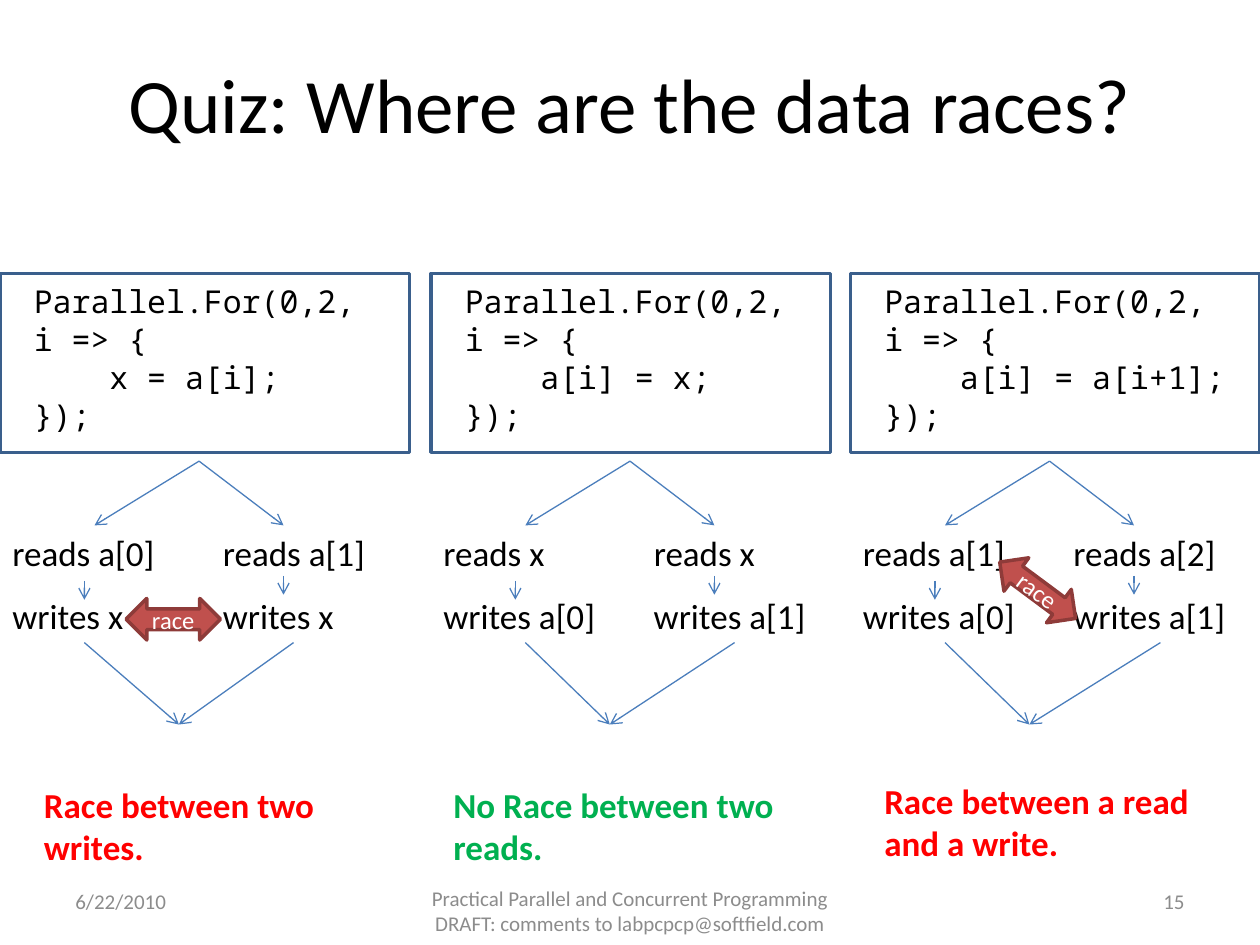
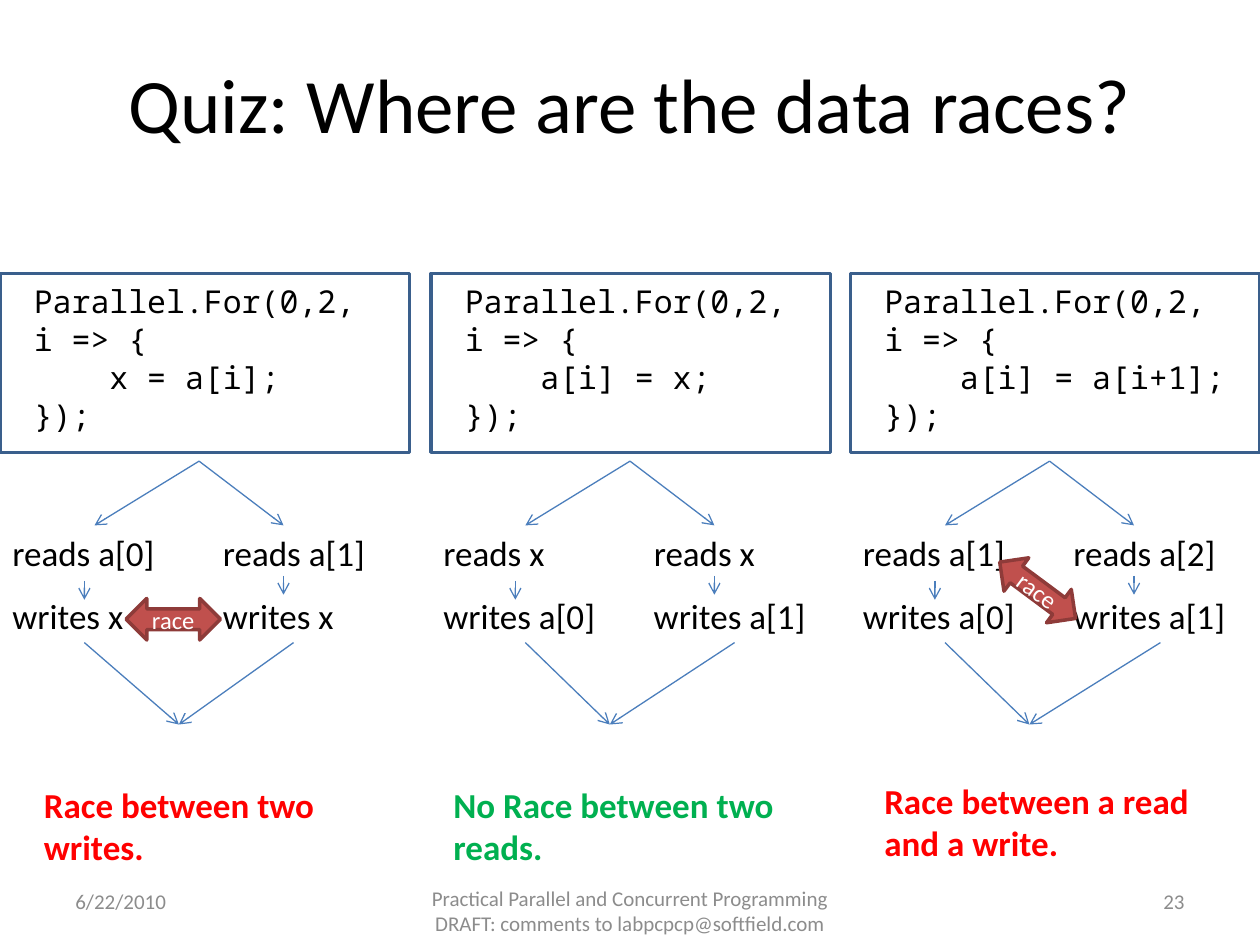
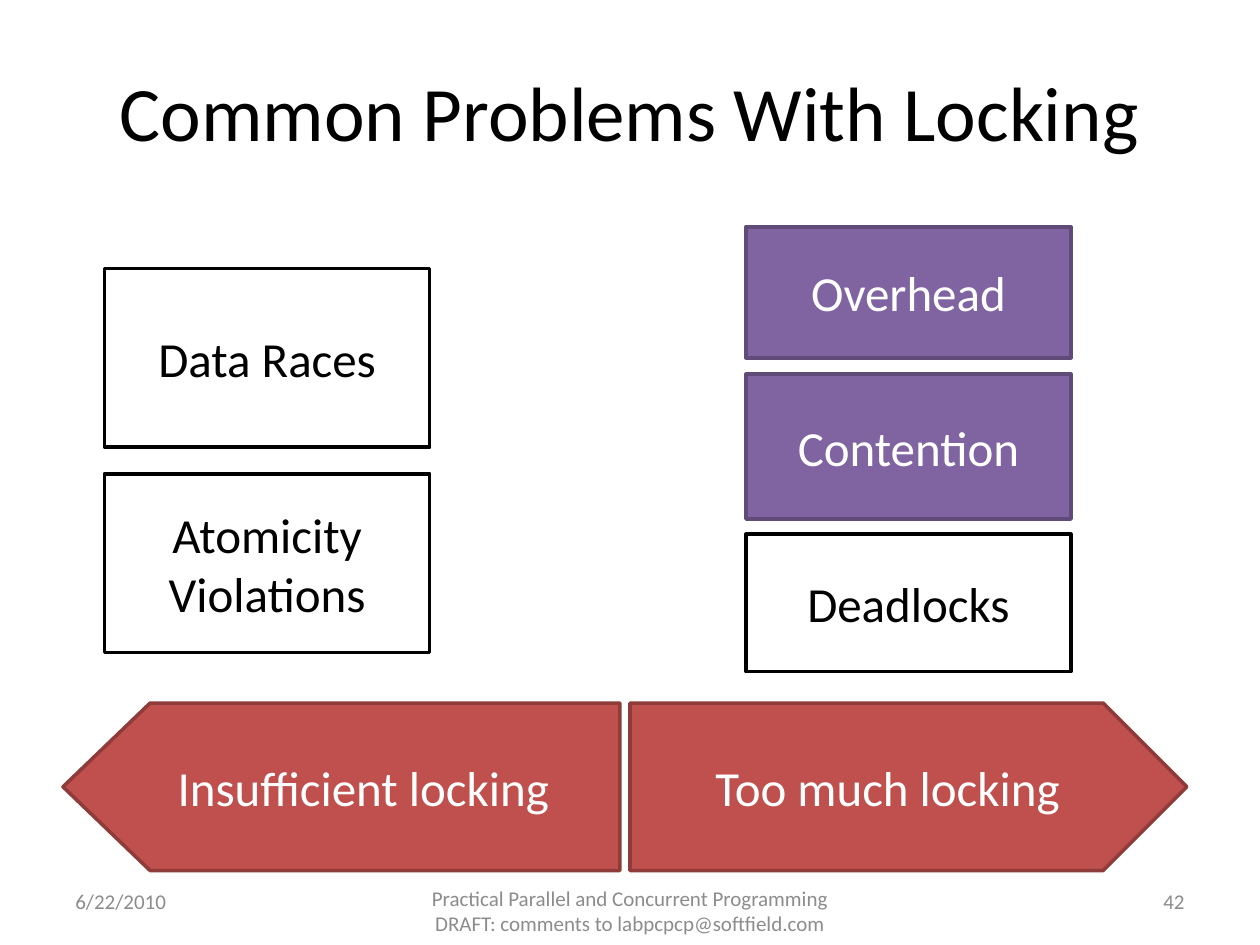
"""Build three slides on data races and locking problems."""
from lxml import etree
from pptx import Presentation
from pptx.dml.color import RGBColor
from pptx.enum import shapes, text
from pptx.oxml import ns
from pptx.util import Inches, Pt

COLORS = {
    "black": "000000", "white": "FFFFFF", "gray": "8C8C8C",
    "red": "FF0000", "green": "00B050", "arrow": "4B7EBC", "frame": "3A5F8C",
    "brick": "C0504D", "brick_edge": "8E3B39",
    "purple": "8064A2", "purple_edge": "5F4A78",
}
FONT, MONO = "Calibri", "Noto Sans Mono"
LEFT, CENTER, RIGHT = text.PP_ALIGN.LEFT, text.PP_ALIGN.CENTER, text.PP_ALIGN.RIGHT
TOP, MIDDLE = text.MSO_ANCHOR.TOP, text.MSO_ANCHOR.MIDDLE
RECT = shapes.MSO_SHAPE.RECTANGLE
DOUBLE_ARROW = shapes.MSO_SHAPE.LEFT_RIGHT_ARROW
PENTAGON = shapes.MSO_SHAPE.PENTAGON


def add_box(s, at, lines=(), size=20, color="black", font=FONT, bold=False,
            align=LEFT, anchor=TOP, kind=None, fill=None, line=None):
    """Add a text box, or a preset shape when kind is given."""
    box = [Inches(v) for v in at]
    if kind is None:
        sp = s.shapes.add_textbox(*box)
    else:
        sp = s.shapes.add_shape(kind, *box)
        sp.shadow.inherit = False
        if fill:
            sp.fill.solid()
            sp.fill.fore_color.rgb = RGBColor.from_string(COLORS[fill])
        else:
            sp.fill.background()
        sp.line.color.rgb = RGBColor.from_string(COLORS[line])
        sp.line.width = Pt(2)
    tf = sp.text_frame
    tf.word_wrap = True
    tf.vertical_anchor = anchor
    for i, words in enumerate(lines):
        p = tf.add_paragraph() if i else tf.paragraphs[0]
        p.alignment = align
        r = p.add_run()
        r.text = words
        r.font.name = font
        r.font.size = Pt(size)
        r.font.bold = bold
        r.font.color.rgb = RGBColor.from_string(COLORS[color])
    return sp


def add_arrow(s, x1, y1, x2, y2):
    """Add a thin line with an open arrowhead at its end."""
    c = s.shapes.add_connector(shapes.MSO_CONNECTOR.STRAIGHT,
                               Inches(x1), Inches(y1), Inches(x2), Inches(y2))
    c.line.color.rgb = RGBColor.from_string(COLORS["arrow"])
    c.line.width = Pt(0.75)
    etree.SubElement(c.line._get_or_add_ln(), ns.qn("a:tailEnd"), type="arrow")
    etree.SubElement(c._element.spPr, ns.qn("a:effectLst"))


prs = Presentation()
prs.slide_width, prs.slide_height = Inches(10), Inches(7.5)

QUIZ = "Quiz: Where are the data races?"
pages = [
    (QUIZ, (0.5, 0.3, 9, 1.03), "15"),
    (QUIZ, (0.5, 0.3, 9, 1.03), "23"),
    ("Common Problems With Locking", (0.5, 0.25, 9, 1.25), "42"),
]
footers = [
    ("6/22/2010", (0.5, 6.95, 2.33, 0.4), LEFT),
    ("Practical Parallel and Concurrent Programming "
     "DRAFT: comments to labpcpcp@softfield.com", (3.25, 6.95, 3.5, 0.55), CENTER),
]
slides = []
for title, at, number in pages:
    s = prs.slides.add_slide(prs.slide_layouts[6])
    add_box(s, at, [title], 44, align=CENTER, anchor=MIDDLE)
    for words, place, align in footers + [(number, (7.17, 6.95, 2.33, 0.4), RIGHT)]:
        add_box(s, place, [words], 12, "gray", align=align, anchor=MIDDLE)
    slides.append(s)

columns = [
    dict(x=0, width=3.25, body="x = a[i];", reads=("a[0]", "a[1]"), writes=("x", "x"),
         joins=(0.67, 2.33), race=(1, 4.75, 0),
         verdict="Race between two writes.", color="red", at=(0.25, 6.17)),
    dict(x=3.42, width=3.17, body="a[i] = x;", reads=("x", "x"), writes=("a[0]", "a[1]"),
         joins=(0.75, 2.41), race=None,
         verdict="No Race between two reads.", color="green", at=(3.5, 6.17)),
    dict(x=6.75, width=3.25, body="a[i] = a[i+1];", reads=("a[1]", "a[2]"),
         writes=("a[0]", "a[1]"), joins=(0.75, 2.46), race=(7.86, 4.52, 36.6),
         verdict="Race between a read and a write.", color="red", at=(6.92, 6.14)),
]
for s in slides[:2]:
    for col in columns:
        x = col["x"]
        add_box(s, (x, 2.17, col["width"], 1.42), kind=RECT, line="frame")
        code = ["Parallel.For(0,2,", "i => {", col["body"], "});"]
        sp = add_box(s, (x + 0.17, 2.19, 3.08, 1.31), code, 18, font=MONO)
        body = sp.text_frame.paragraphs[2]
        body._p.get_or_add_pPr().set("marL", str(Inches(0.6)))
        for i in range(2):
            thread = x + 1.67 * i
            add_box(s, (thread, 4.17, 1.35, 0.44), ["reads " + col["reads"][i]])
            add_box(s, (thread, 4.67, 1.5, 0.44), ["writes " + col["writes"][i]])
            add_arrow(s, x + 1.58, 3.66, x + (0.75, 2.25)[i], 4.17)
            step, top = ((0.67, 4.61), (2.25, 4.57))[i]
            add_arrow(s, x + step, top, x + step, top + 0.15)
            add_arrow(s, x + col["joins"][i], 5.1, x + 1.42, 5.75)
        if col["race"]:
            left, top, angle = col["race"]
            sp = add_box(s, (left, top, 0.75, 0.33), ["race"], 14, "white", align=CENTER,
                         anchor=MIDDLE, kind=DOUBLE_ARROW, fill="brick", line="brick_edge")
            sp.rotation = angle
        add_box(s, (*col["at"], 2.83, 0.77), [col["verdict"]], color=col["color"], bold=True)

s = slides[2]
plain = ("black", "white", "black")
purple = ("white", "purple", "purple_edge")
problems = [
    ("Data Races", 0.83, 2.13, 1.42, plain),
    ("Atomicity Violations", 0.83, 3.76, 1.42, plain),
    ("Overhead", 5.92, 1.8, 1.04, purple),
    ("Contention", 5.92, 2.97, 1.15, purple),
    ("Deadlocks", 5.92, 4.24, 1.09, plain),
]
for words, x, y, height, (color, fill, line) in problems:
    add_box(s, (x, y, 2.58, height), [words], 28, color, align=CENTER, anchor=MIDDLE,
            kind=RECT, fill=fill, line=line)
for words, x, point, flip in [("Insufficient locking", 0.5, 0.52, True),
                              ("Too much locking", 5, 0.5, False)]:
    sp = add_box(s, (x, 5.58, 4.42, 1.33), [words], 28, "white", align=CENTER,
                 anchor=MIDDLE, kind=PENTAGON, fill="brick", line="brick_edge")
    sp.adjustments[0] = point
    if flip:
        sp._element.spPr.find(ns.qn("a:xfrm")).set("flipH", "1")

prs.save("out.pptx")
